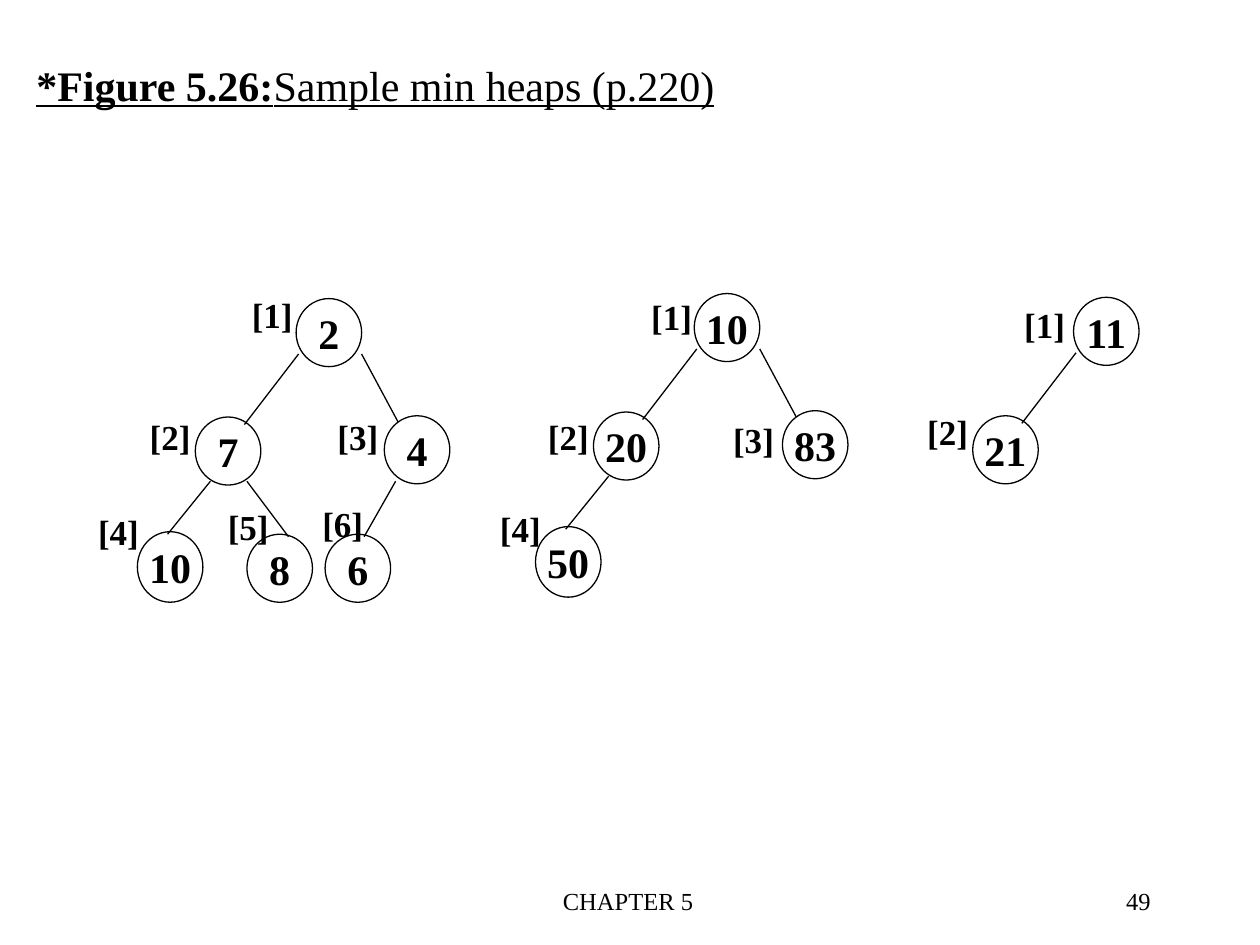
from lxml import etree
from pptx import Presentation
from pptx.dml.color import RGBColor
from pptx.enum.shapes import MSO_CONNECTOR, MSO_SHAPE
from pptx.enum.text import MSO_ANCHOR, MSO_AUTO_SIZE, PP_ALIGN
from pptx.oxml.ns import qn
from pptx.util import Inches, Pt

ELLIPSE = MSO_SHAPE.OVAL
STRAIGHT = MSO_CONNECTOR.STRAIGHT
MIDDLE = MSO_ANCHOR.MIDDLE
GROW = MSO_AUTO_SIZE.SHAPE_TO_FIT_TEXT
LEFT, CENTER, RIGHT = PP_ALIGN.LEFT, PP_ALIGN.CENTER, PP_ALIGN.RIGHT

COLORS = {"ink": "000000"}
FONT = "Times New Roman"
NODE_WIDTH = 0.52
LABEL_SIZE = (0.53, 0.44)
LINE_WIDTH = 0.75

TITLE = [("*Figure 5.26:", True), ("Sample min heaps (p.220)", False)]
FOOTERS = [
    ("CHAPTER 5", 3.4, 3.17, CENTER),
    ("49", 7.15, 2.08, RIGHT),
]

# Offsets from the top left corner of the root: left, top, height.
NODE_SLOTS = {
    1: (0, 0, 0.54),
    2: (-0.8, 0.94, 0.54),
    3: (0.7, 0.93, 0.54),
    4: (-1.26, 1.85, 0.56),
    5: (-0.39, 1.87, 0.54),
    6: (0.23, 1.87, 0.54),
}
EDGE_SLOTS = {
    2: (0.02, 0.44, -0.41, 1.0),
    3: (0.52, 0.44, 0.81, 0.98),
    4: (-0.68, 1.45, -1.02, 1.87),
    5: (-0.39, 1.45, -0.06, 1.89),
    6: (0.79, 1.45, 0.54, 1.89),
}

HEAPS = [
    {
        "root": (2.35, 2.37),
        "values": [2, 7, 4, 10, 8, 6],
        "labels": [(1.9, 2.28), (1.09, 3.25), (2.58, 3.25),
                   (0.68, 4.0), (1.71, 3.96), (2.46, 3.94)],
    },
    {
        "root": (5.51, 2.33),
        "values": [10, 20, 83, 50],
        "labels": [(5.07, 2.3), (4.25, 3.25), (5.72, 3.27), (3.87, 3.98)],
    },
    {
        "root": (8.52, 2.36),
        "values": [11, 21],
        "labels": [(8.03, 2.36), (7.26, 3.21)],
    },
]


def color(name):
    return RGBColor.from_string(COLORS[name])


def style_font(font, size, bold=False):
    font.name = FONT
    font.size = Pt(size)
    font.bold = bold
    font.color.rgb = color("ink")


def write(shape, text, size, bold=False, align=LEFT, wrap=False):
    frame = shape.text_frame
    frame.word_wrap = wrap
    frame.text = text
    para = frame.paragraphs[0]
    para.alignment = align
    style_font(para.runs[0].font, size, bold)


def add_text_box(page, left, top, width, height):
    return page.shapes.add_textbox(
        Inches(left), Inches(top), Inches(width), Inches(height))


def add_node(page, value, left, top, height):
    node = page.shapes.add_shape(
        ELLIPSE, Inches(left), Inches(top), Inches(NODE_WIDTH), Inches(height))
    node.shadow.inherit = False
    node.fill.background()
    node.line.color.rgb = color("ink")
    node.line.width = Pt(LINE_WIDTH)
    node.text_frame.vertical_anchor = MIDDLE
    write(node, str(value), 24, True, CENTER)


def add_edge(page, x1, y1, x2, y2):
    edge = page.shapes.add_connector(
        STRAIGHT, Inches(x1), Inches(y1), Inches(x2), Inches(y2))
    edge.line.color.rgb = color("ink")
    edge.line.width = Pt(LINE_WIDTH)
    etree.SubElement(edge._element.spPr, qn("a:effectLst"))


def add_heap(page, heap):
    x, y = heap["root"]
    for index, value in enumerate(heap["values"], 1):
        left, top, height = NODE_SLOTS[index]
        add_node(page, value, x + left, y + top, height)
        if index in EDGE_SLOTS:
            x1, y1, x2, y2 = EDGE_SLOTS[index]
            add_edge(page, x + x1, y + y1, x + x2, y + y2)
    for index, position in enumerate(heap["labels"], 1):
        label = add_text_box(page, *position, *LABEL_SIZE)
        label.text_frame.auto_size = GROW
        write(label, f"[{index}]", 20, True)


def add_title(page):
    box = add_text_box(page, 0.19, 0.42, 5.59, 0.5)
    box.text_frame.auto_size = GROW
    box.text_frame.word_wrap = False
    para = box.text_frame.paragraphs[0]
    for text, bold in TITLE:
        span = para.add_run()
        span.text = text
        style_font(span.font, 24, bold)
        span.font.underline = True


def main():
    deck = Presentation()
    deck.slide_width, deck.slide_height = Inches(10), Inches(7.5)
    page = deck.slides.add_slide(deck.slide_layouts[6])
    for heap in HEAPS:
        add_heap(page, heap)
    add_title(page)
    for text, left, width, align in FOOTERS:
        box = add_text_box(page, left, 6.98, width, 0.5)
        write(box, text, 14, align=align, wrap=True)
    deck.save("out.pptx")


if __name__ == "__main__":
    main()
